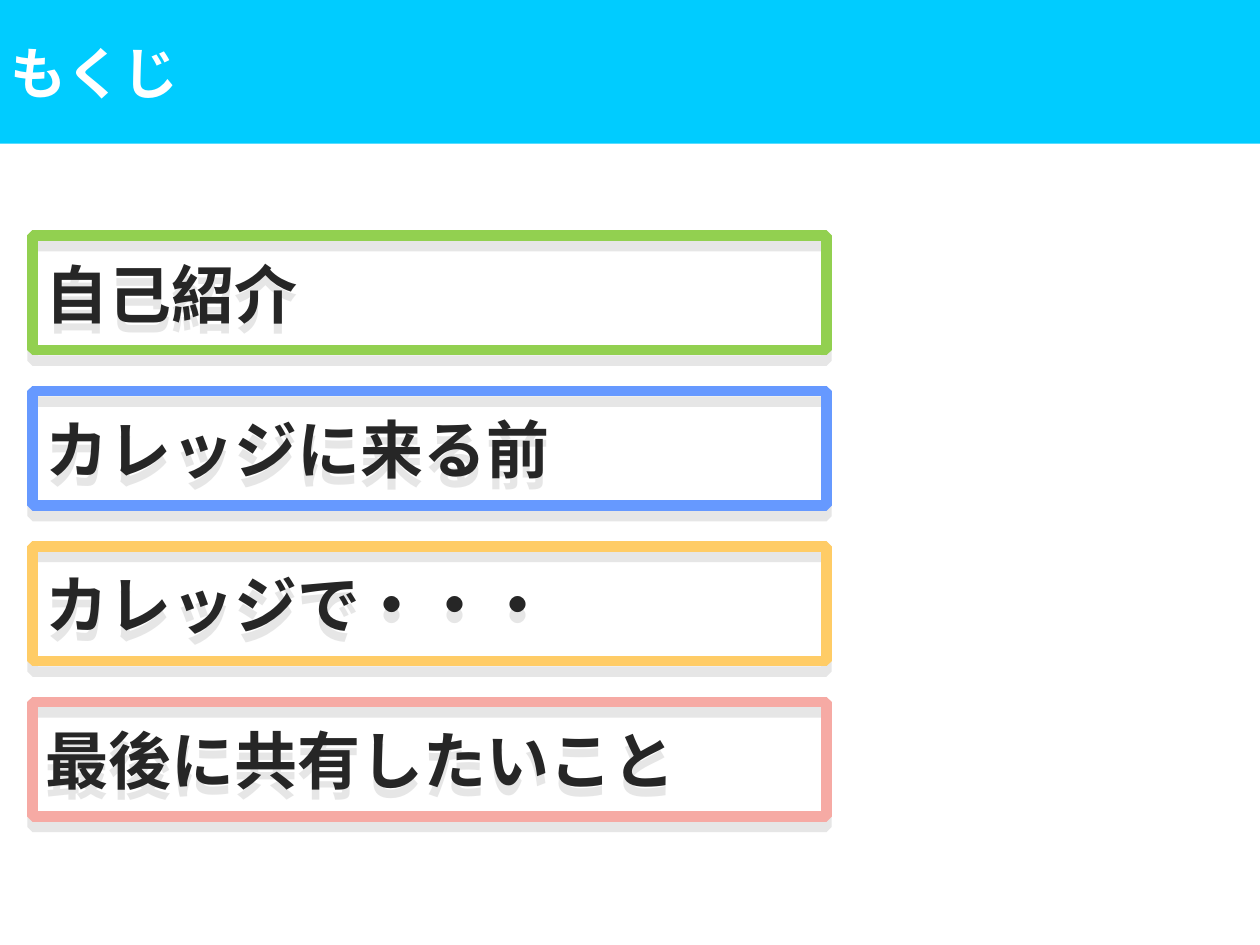
from lxml.etree import SubElement
from pptx import Presentation
from pptx.dml.color import RGBColor
from pptx.enum.shapes import MSO_SHAPE
from pptx.enum.text import MSO_ANCHOR, MSO_AUTO_SIZE, PP_ALIGN
from pptx.oxml.ns import qn
from pptx.util import Inches, Pt

CYAN = RGBColor(0x00, 0xCC, 0xFF)
WHITE = RGBColor(0xFF, 0xFF, 0xFF)
DARK = RGBColor(0x26, 0x26, 0x26)
GREEN = RGBColor(0x92, 0xD0, 0x50)
BLUE = RGBColor(0x66, 0x99, 0xFF)
YELLOW = RGBColor(0xFF, 0xCC, 0x66)
PINK = RGBColor(0xF6, 0xAA, 0xA4)
SHADOW = RGBColor(0xBF, 0xBF, 0xBF)

CHAPTERS = [
    ("自己紹介", GREEN),
    ("カレッジに来る前", BLUE),
    ("カレッジで・・・", YELLOW),
    ("最後に共有したいこと", PINK),
]
FIRST_TOP, LAST_TOP = 1.87, 5.57


def set_text(shape, text, size, color):
    frame = shape.text_frame
    frame.text = text
    frame.word_wrap = True
    frame.auto_size = MSO_AUTO_SIZE.NONE
    frame.vertical_anchor = MSO_ANCHOR.MIDDLE
    paragraph = frame.paragraphs[0]
    paragraph.alignment = PP_ALIGN.LEFT
    paragraph.font.name = "Arial"
    paragraph.font.size = Pt(size)
    paragraph.font.bold = True
    paragraph.font.color.rgb = color


def add_title(page, text):
    # Coloured band, sent behind the title
    band = page.shapes.add_shape(
        MSO_SHAPE.RECTANGLE, Inches(-0.02), 0, Inches(10.02), Inches(1.14))
    band.shadow.inherit = False
    band.fill.solid()
    band.fill.fore_color.rgb = CYAN
    band.line.fill.background()
    title = page.shapes.title
    band.element.addnext(title.element)

    title.left, title.top = band.left, band.top
    title.width, title.height = band.width, Inches(1.15)
    set_text(title, text, 32, WHITE)


def add_drop_shadow(shape):
    shape.shadow.inherit = False
    effects = shape.element.spPr.find(qn("a:effectLst"))
    shadow = SubElement(effects, qn("a:outerShdw"), blurRad="0",
                        dist=str(Pt(6)), dir="5400000", rotWithShape="0")
    color = SubElement(shadow, qn("a:srgbClr"), val=str(SHADOW))
    SubElement(color, qn("a:alpha"), val="39000")


def add_chapter(page, top, text, color):
    box = page.shapes.add_shape(
        MSO_SHAPE.RECTANGLE, Inches(0.26), Inches(top), Inches(6.3), Inches(0.91))
    box.fill.background()
    box.line.color.rgb = color
    box.line.width = Pt(6)
    # Bevelled corners
    SubElement(box.element.spPr.find(qn("a:ln")), qn("a:bevel"))
    add_drop_shadow(box)
    set_text(box, text, 36, DARK)


def main():
    deck = Presentation()
    deck.slide_width, deck.slide_height = Inches(10), Inches(7.5)
    page = deck.slides.add_slide(deck.slide_layouts[5])
    add_title(page, "もくじ")

    # Evenly spaced contents list
    pitch = (LAST_TOP - FIRST_TOP) / (len(CHAPTERS) - 1)
    for index, (text, color) in enumerate(CHAPTERS):
        add_chapter(page, FIRST_TOP + index * pitch, text, color)
    deck.save("out.pptx")


if __name__ == "__main__":
    main()
